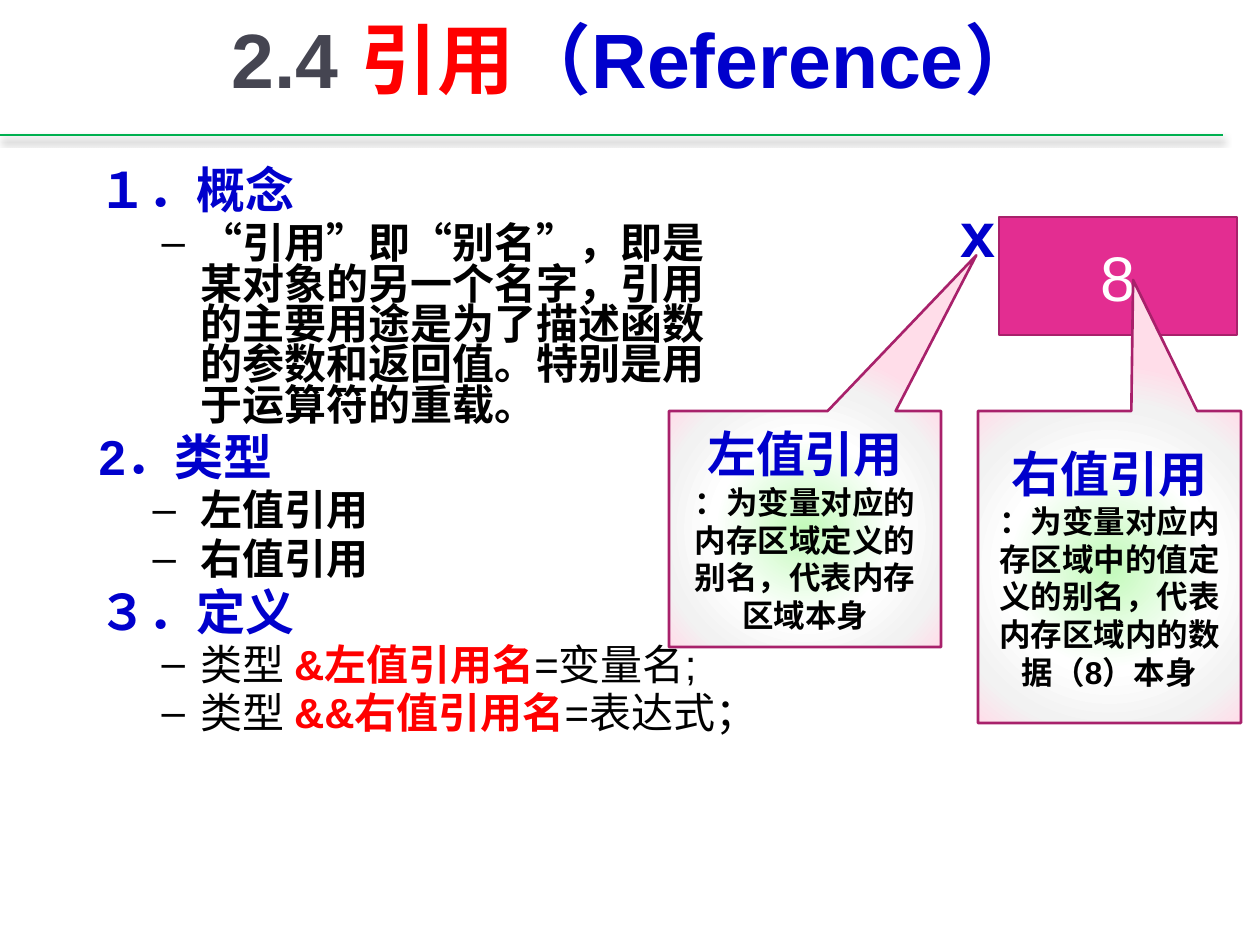
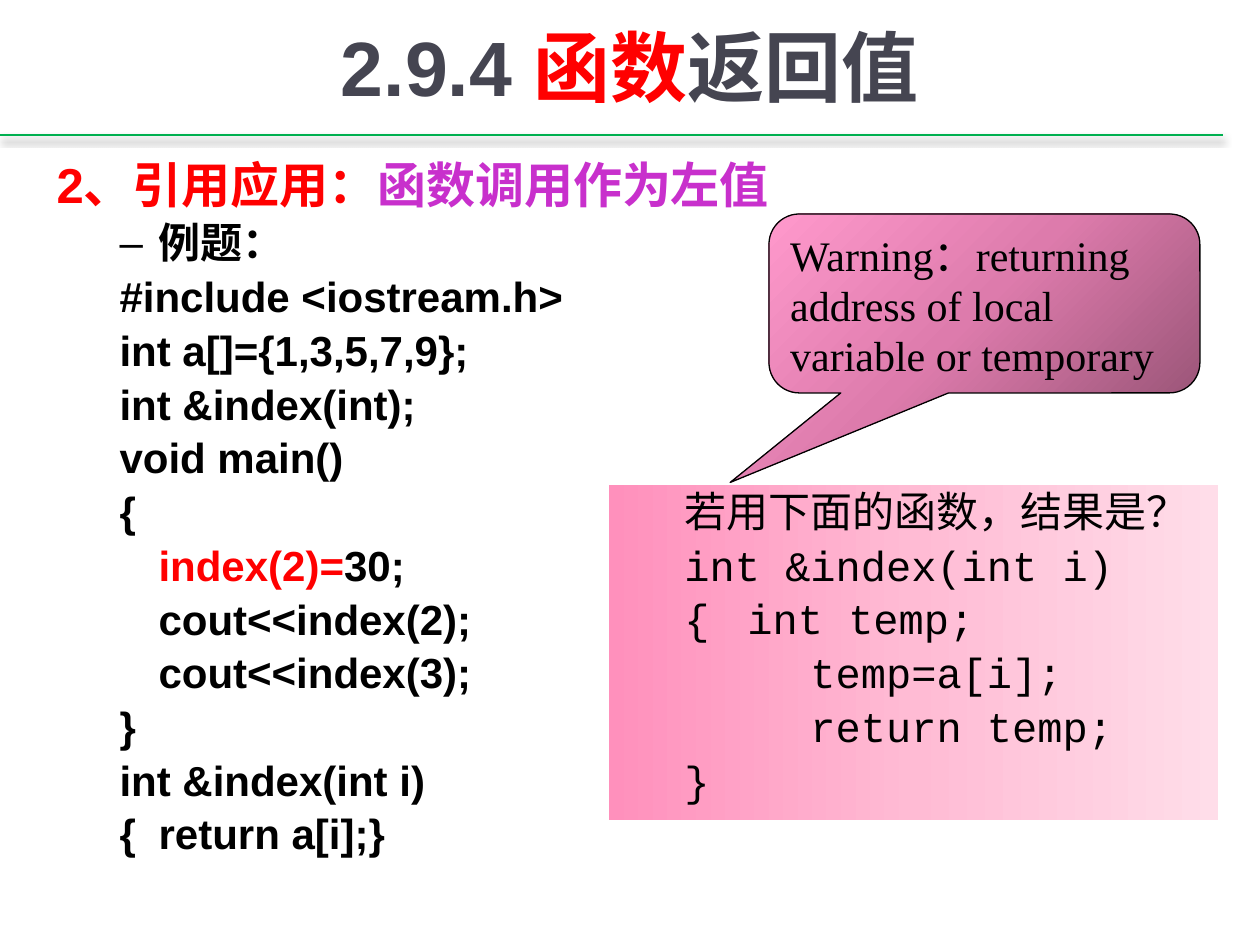
from dataclasses import dataclass

from lxml import etree
from pptx import Presentation
from pptx.dml.color import RGBColor
from pptx.enum.shapes import MSO_CONNECTOR, MSO_SHAPE as Shape
from pptx.enum.text import MSO_ANCHOR as Anchor, MSO_AUTO_SIZE as AutoSize, PP_ALIGN as Align
from pptx.oxml import parse_xml
from pptx.oxml.ns import nsdecls, qn
from pptx.util import Pt


@dataclass(frozen=True)
class Theme:
    slate: str = "454551"
    red: str = "FF0000"
    blue: str = "0000CC"
    violet: str = "C830CC"
    black: str = "000000"
    white: str = "FFFFFF"
    rule: str = "00B050"
    magenta: str = "E32D91"
    plum: str = "A8216B"
    glow: tuple = ((0, "C2FABA"), (50, "FFFFFF"), (80, "F2F2F2"), (100, "FFDDE9"))
    blush: tuple = ((0, "FF90BC"), (50, "FFBBD4"), (100, "FFDDE9"))
    rose: tuple = ((0, "9C5679"), (50, "DD7BAC"), (100, "FF99CC"))
    sans: str = "Arial"
    mono: str = "Courier New"
    serif: str = "Times New Roman"
    title: int = 44
    symbol: int = 36
    heading: int = 28
    text: int = 24
    note: int = 18


T = Theme()
DPI = 126
RADIAL = ('<a:path path="circle"><a:fillToRect l="50000" t="50000" '
          'r="50000" b="50000"/></a:path>')


def px(length):
    return round(length * 914400 / DPI)


def box_emu(box):
    return [px(side) for side in box]


def linear(degrees):
    return f'<a:lin ang="{degrees * 60000}" scaled="0"/>'


def write(paragraph, pieces, size, font=T.sans):
    """Fill a paragraph with (text, colour, bold) pieces."""
    for text, colour, bold in pieces:
        run = paragraph.add_run()
        run.text = text
        run.font.name = font
        run.font.size = Pt(size)
        run.font.bold = bold
        run.font.color.rgb = RGBColor.from_string(colour)


def paragraphs(frame, count):
    return [frame.paragraphs[0]] + [frame.add_paragraph() for _ in range(count - 1)]


def space(paragraph, size, lines, first):
    paragraph.line_spacing = lines
    paragraph.space_before = Pt(0 if first else size * 0.2)


def place(shape, box):
    shape.left, shape.top, shape.width, shape.height = box_emu(box)


def title(slide, box, pieces):
    heading = slide.shapes.title
    place(heading, box)
    frame = heading.text_frame
    frame.auto_size = AutoSize.NONE
    frame.vertical_anchor = Anchor.MIDDLE
    frame.paragraphs[0].alignment = Align.CENTER
    write(frame.paragraphs[0], [(text, colour, True) for text, colour in pieces], T.title)


def header_rule(slide, y=135, right=1223):
    rule = slide.shapes.add_connector(MSO_CONNECTOR.STRAIGHT, 0, px(y), px(right), px(y))
    rule.line.color.rgb = RGBColor.from_string(T.rule)
    rule.line.width = Pt(1.25)
    rule._element.spPr.append(parse_xml(
        f'<a:effectLst {nsdecls("a")}><a:outerShdw blurRad="{Pt(4)}" dist="{Pt(2.5)}" '
        f'dir="5400000" rotWithShape="0"><a:srgbClr val="{T.black}">'
        '<a:alpha val="47000"/></a:srgbClr></a:outerShdw></a:effectLst>'))


def outline(slide, box, rows, lines):
    """Body list; each row is (level, dash, hang in px, pieces)."""
    body = slide.placeholders[1]
    place(body, box)
    frame = body.text_frame
    frame.auto_size = AutoSize.NONE
    frame.vertical_anchor = Anchor.TOP
    for index, (level, dash, hang, pieces) in enumerate(rows):
        paragraph = paragraphs(frame, 1)[0] if index == 0 else frame.add_paragraph()
        paragraph.level = level
        properties = paragraph._p.get_or_add_pPr()
        properties.set("marL", str(px(102 if level else 48)))
        properties.set("indent", str(-px(hang)))
        if dash:
            etree.SubElement(properties, qn("a:buChar")).set("char", "–")
        else:
            etree.SubElement(properties, qn("a:buNone"))
        paragraph.alignment = Align.LEFT
        size = T.text if level else T.heading
        space(paragraph, size, lines, index == 0)
        write(paragraph, pieces, size)


def heading_row(*pieces):
    return 0, False, 48, [(text, colour, True) for text, colour in pieces]


def dash_row(*pieces, hang=39):
    return 1, True, hang, pieces


def code_row(*pieces):
    return 1, False, 39, [(text, colour, True) for text, colour in pieces]


def panel(slide, kind, box, line=None, width=1.5, adjustments=()):
    shape = slide.shapes.add_shape(kind, *box_emu(box))
    shape.shadow.inherit = False
    for index, value in enumerate(adjustments):
        shape.adjustments[index] = value
    if line:
        shape.line.color.rgb = RGBColor.from_string(line)
        shape.line.width = Pt(width)
    else:
        shape.line.fill.background()
    shape.text_frame.word_wrap = True
    return shape


def shade(shape, stops, direction):
    """Fill a shape with a gradient of any number of stops."""
    shape.fill.gradient()
    properties = shape._element.spPr
    marks = "".join(f'<a:gs pos="{at * 1000}"><a:srgbClr val="{colour}"/></a:gs>'
                    for at, colour in stops)
    properties.replace(properties.find(qn("a:gradFill")), parse_xml(
        f'<a:gradFill {nsdecls("a")} rotWithShape="1"><a:gsLst>{marks}</a:gsLst>'
        f'{direction}</a:gradFill>'))


def memory_cell(slide, box):
    """Variable name x beside the cell that holds its value."""
    left, top, width, height = box
    cell = panel(slide, Shape.RECTANGLE, box, T.plum)
    cell.fill.solid()
    cell.fill.fore_color.rgb = RGBColor.from_string(T.magenta)
    cell.text_frame.vertical_anchor = Anchor.MIDDLE
    value = cell.text_frame.paragraphs[0]
    value.alignment = Align.CENTER
    write(value, [("8", T.white, False)], T.symbol)
    name = slide.shapes.add_textbox(*box_emu((left - 51, top - 29, 45, 89)))
    name.text_frame.word_wrap = False
    write(name.text_frame.paragraphs[0], [("x", T.blue, True)], T.symbol)


def reference_callout(slide, box, pointer, term, meaning):
    callout = panel(slide, Shape.RECTANGULAR_CALLOUT, box, T.plum, adjustments=pointer)
    shade(callout, T.glow, RADIAL)
    callout.text_frame.vertical_anchor = Anchor.MIDDLE
    heading, note = paragraphs(callout.text_frame, 2)
    heading.alignment = note.alignment = Align.CENTER
    write(heading, [(term, T.blue, True)], T.heading)
    write(note, [(meaning, T.black, True)], T.note)


def code_panel(slide, box, rows):
    listing = panel(slide, Shape.RECTANGLE, box)
    shade(listing, T.blush, linear(0))
    frame = listing.text_frame
    frame.vertical_anchor = Anchor.TOP
    for index, (paragraph, row) in enumerate(zip(paragraphs(frame, len(rows)), rows)):
        paragraph._p.get_or_add_pPr().set("marL", str(px(63)))
        paragraph.alignment = Align.LEFT
        space(paragraph, T.text, 0.9, index == 0)
        write(paragraph, [(row, T.black, False)], T.text, T.mono)


def warning_callout(slide, box, message):
    warning = panel(slide, Shape.ROUNDED_RECTANGULAR_CALLOUT, box, T.black, 0.75,
                    (-0.59, 1.0, 0.17))
    shade(warning, T.rose, linear(225))
    warning.text_frame.vertical_anchor = Anchor.TOP
    warning.text_frame.paragraphs[0].alignment = Align.LEFT
    write(warning.text_frame.paragraphs[0], [(message, T.black, False)], T.text, T.serif)


def reference_slide(slide):
    header_rule(slide)
    title(slide, (101, 0, 1071, 116),
          [("2.4 ", T.slate), ("引用", T.red), ("（Reference）", T.blue)])
    concept = "“引用”即“别名”，即是某对象的另一个名字，引用的主要用途是为了描述函数的参数和返回值。特别是用于运算符的重载。"
    outline(slide, (86, 165, 653, 630), [
        heading_row(("１．概念", T.blue)),
        dash_row((concept, T.black, True)),
        heading_row(("2．类型", T.blue)),
        *[dash_row((kind, T.black, True), hang=48) for kind in ("左值引用", "右值引用")],
        heading_row(("３．定义", T.blue)),
        *[dash_row(("类型 ", T.black, False), (name, T.red, True), (source, T.black, False))
          for name, source in (("&左值引用名", "=变量名;"), ("&&右值引用名", "=表达式；"))],
    ], 0.8)
    memory_cell(slide, (999, 217, 238, 118))
    reference_callout(slide, (669, 411, 272, 236), (0.63, -1.16), "左值引用",
                      "：为变量对应的内存区域定义的别名，代表内存区域本身")
    reference_callout(slide, (978, 411, 263, 312), (0.09, -0.92), "右值引用",
                      "：为变量对应内存区域中的值定义的别名，代表内存区域内的数据（8）本身")


def return_value_slide(slide):
    header_rule(slide)
    title(slide, (63, 10, 1134, 112),
          [("2.9.4 ", T.slate), ("函数", T.red), ("返回值", T.slate)])
    before = ("#include <iostream.h>", "int a[]={1,3,5,7,9};", "int &index(int);",
              "void main()", "{")
    after = ("\tcout<<index(2);", "\tcout<<index(3);", "}", "int &index(int i)",
             "{\treturn a[i];}")
    outline(slide, (44, 155, 1071, 685), [
        heading_row(("2、引用应用：", T.red), ("函数调用作为左值", T.violet)),
        dash_row(("例题：", T.black, True)),
        *[code_row((code, T.black)) for code in before],
        code_row(("\t", T.black), ("index(2)=", T.red), ("30;", T.black)),
        *[code_row((code, T.black)) for code in after],
    ], 0.9)
    code_panel(slide, (609, 485, 609, 335), [
        "若用下面的函数，结果是？", "int &index(int i)", "{\tint temp;",
        "     temp=a[i];", "     return temp;", "}"])
    warning_callout(slide, (769, 214, 431, 179),
                    "Warning：returning address of local variable or temporary")


def main():
    deck = Presentation()
    deck.slide_width, deck.slide_height = px(1260), px(945)
    for build in (reference_slide, return_value_slide):
        build(deck.slides.add_slide(deck.slide_layouts[1]))
    deck.save("out.pptx")


if __name__ == "__main__":
    main()
